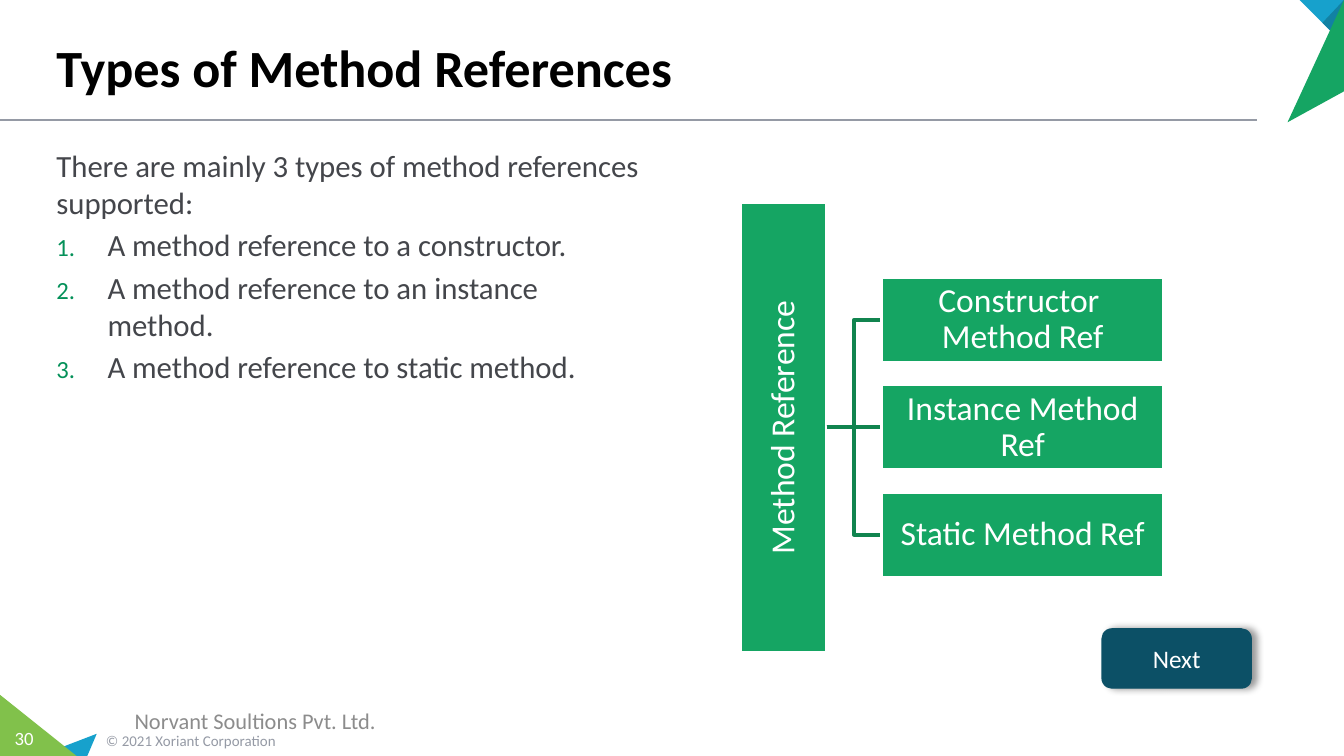
from lxml.etree import SubElement
from pptx import Presentation
from pptx.dml.color import RGBColor
from pptx.enum.shapes import MSO_CONNECTOR, MSO_SHAPE
from pptx.enum.text import MSO_ANCHOR, PP_ALIGN
from pptx.oxml.ns import qn
from pptx.util import Inches, Pt

# Content
TITLE = "Types of Method References"
INTRO = "There are mainly 3 types of method references supported:"
TYPES = [
    "A method reference to a constructor.",
    "A method reference to an instance method.",
    "A method reference to static method.",
]
ROOT = "Method Reference"
BRANCHES = ["Constructor \vMethod Ref", "Instance Method Ref", "Static Method Ref"]
BUTTON = "Next"

# Text, left, top, width, height, size, colour, alignment, side inset
FOOTER = [
    ("© 2021 Xoriant Corporation", 0.69, 5.39, 2.33, 0.24, 8, "grey", PP_ALIGN.LEFT, 0.1),
    ("30", 0, 5.36, 0.36, 0.27, 10, "white", PP_ALIGN.CENTER, 0),
    ("Norvant Soultions Pvt. Ltd.", 0, 5.21, 3.8, 0.3, 12, "footer", PP_ALIGN.CENTER, 0.1),
]

FONT = "Calibri"
COLORS = {
    "white": "FFFFFF", "black": "000000", "text": "44464B", "grey": "959AA5",
    "footer": "8C8C8C", "green": "15A563", "dark_green": "11844F",
    "number": "049159", "lime": "81C14B", "blue": "17A1CC",
    "dark_blue": "1281A3", "button": "0C5066",
}
WIDTH = 10
HEIGHT = WIDTH * 9 / 16

# Corner triangles
TRIANGLES = [
    ("blue", [(0.72, 5.46), (0.65, HEIGHT), (0.29, HEIGHT)]),
    ("lime", [(0, 5.17), (0.57, HEIGHT), (0, HEIGHT)]),
    ("blue", [(9.67, 0), (WIDTH, 0), (WIDTH, 0.33)]),
    ("dark_blue", [(9.84, 0.17), (WIDTH, 0), (WIDTH, 0.33)]),
    ("green", [(9.58, 0.91), (WIDTH, 0), (WIDTH, 0.68)]),
]

# Diagram geometry
BOX_WIDTH, BOX_HEIGHT, PITCH = 2.1, 0.64, 0.8
ROOT_LENGTH, ROOT_RIGHT = 3.36, 6.15
BRANCH_LEFT, MIDDLE = 6.56, 3.18
ELBOW = (ROOT_RIGHT + BRANCH_LEFT) / 2


def color(name):
    return RGBColor.from_string(COLORS[name])


def place(shape, left, top, width, height):
    shape.left, shape.top = Inches(left), Inches(top)
    shape.width, shape.height = Inches(width), Inches(height)


def add_run(paragraph, text, size, color_name, bold=False):
    for index, line in enumerate(text.split("\v")):
        if index:
            paragraph.add_line_break()
        run = paragraph.add_run()
        run.text = line
        run.font.name, run.font.size, run.font.bold = FONT, Pt(size), bold
        run.font.color.rgb = color(color_name)


def write(shape, text, size, color_name, align=PP_ALIGN.CENTER,
          inset_x=0.1, inset_y=0.05, line_spacing=1.0):
    frame = shape.text_frame
    frame.word_wrap = True
    frame.vertical_anchor = MSO_ANCHOR.MIDDLE
    frame.margin_left = frame.margin_right = Inches(inset_x)
    frame.margin_top = frame.margin_bottom = Inches(inset_y)
    paragraph = frame.paragraphs[0]
    paragraph.alignment = align
    paragraph.line_spacing = line_spacing
    add_run(paragraph, text, size, color_name)


def add_path(shapes, points, closed):
    corners = [(Inches(x), Inches(y)) for x, y in points]
    builder = shapes.build_freeform(*corners[0])
    builder.add_line_segments(corners[1:], close=closed)
    shape = builder.convert_to_shape()
    shape.shadow.inherit = False
    return shape


def add_line(shapes, start, end, color_name, width):
    line = shapes.add_connector(MSO_CONNECTOR.STRAIGHT, *map(Inches, start + end))
    line.line.color.rgb = color(color_name)
    line.line.width = Pt(width)
    SubElement(line._element.spPr, qn("a:effectLst"))


def add_block(shapes, kind, box, fill, line, line_width):
    shape = shapes.add_shape(kind, *map(Inches, box))
    shape.shadow.inherit = False
    shape.fill.solid()
    shape.fill.fore_color.rgb = color(fill)
    shape.line.color.rgb = color(line)
    shape.line.width = Pt(line_width)
    return shape


def add_diagram_box(shapes, text, center_x, center_y, width, rotation=0):
    box = (center_x - width / 2, center_y - BOX_HEIGHT / 2, width, BOX_HEIGHT)
    shape = add_block(shapes, MSO_SHAPE.RECTANGLE, box, "green", "white", 2)
    shape.rotation = rotation
    write(shape, text, 18, "white", inset_x=0.01, inset_y=0.01, line_spacing=0.9)


def set_bullet(paragraph, numbered):
    properties = paragraph._p.get_or_add_pPr()
    indent = Inches(0.38) if numbered else 0
    properties.set("marL", str(indent))
    properties.set("indent", str(-indent))
    if not numbered:
        SubElement(properties, qn("a:buNone"))
        return
    bullet_color = SubElement(properties, qn("a:buClr"))
    SubElement(bullet_color, qn("a:srgbClr"), val=COLORS["number"])
    SubElement(properties, qn("a:buSzPct"), val="80000")
    SubElement(properties, qn("a:buFont"), typeface=FONT)
    SubElement(properties, qn("a:buAutoNum"), type="arabicPeriod")


def add_shadow(shape):
    effects = shape._element.spPr.find(qn("a:effectLst"))
    shadow = SubElement(effects, qn("a:outerShdw"), blurRad=str(Pt(4)),
                        dist=str(Pt(3)), dir="0", algn="l", rotWithShape="0")
    shade = SubElement(shadow, qn("a:srgbClr"), val=COLORS["black"])
    SubElement(shade, qn("a:alpha"), val="40000")


def main():
    presentation = Presentation()
    presentation.slide_width, presentation.slide_height = Inches(WIDTH), Inches(HEIGHT)
    slide = presentation.slides.add_slide(presentation.slide_layouts[1])
    shapes = slide.shapes

    # Corner decoration and title rule
    for fill, points in TRIANGLES:
        triangle = add_path(shapes, points, closed=True)
        triangle.fill.solid()
        triangle.fill.fore_color.rgb = color(fill)
        triangle.line.fill.background()
    add_line(shapes, (0, 0.89), (9.35, 0.89), "grey", 1)

    # Title
    title = shapes.title
    place(title, 0.32, 0.06, 9, 0.72)
    title.text_frame.vertical_anchor = MSO_ANCHOR.BOTTOM
    paragraph = title.text_frame.paragraphs[0]
    paragraph.alignment = PP_ALIGN.LEFT
    add_run(paragraph, TITLE, 28, "black", bold=True)

    # Introduction and numbered list
    body = slide.placeholders[1]
    place(body, 0.32, 1.04, 4.6, 4.27)
    for index, text in enumerate([INTRO] + TYPES):
        frame = body.text_frame
        paragraph = frame.add_paragraph() if index else frame.paragraphs[0]
        paragraph.space_before, paragraph.space_after = Pt(0), Pt(3)
        set_bullet(paragraph, numbered=index > 0)
        add_run(paragraph, text, 16.5, "text")

    # Method reference diagram
    add_diagram_box(shapes, ROOT, ROOT_RIGHT - BOX_HEIGHT / 2, MIDDLE, ROOT_LENGTH, 270)
    for index, text in enumerate(BRANCHES):
        y = MIDDLE + (index - (len(BRANCHES) - 1) / 2) * PITCH
        if y == MIDDLE:
            add_line(shapes, (ROOT_RIGHT, y), (BRANCH_LEFT, y), "dark_green", 2)
        else:
            points = [(ROOT_RIGHT, MIDDLE), (ELBOW, MIDDLE), (ELBOW, y), (BRANCH_LEFT, y)]
            branch = add_path(shapes, points, closed=False)
            branch.fill.background()
            branch.line.color.rgb = color("dark_green")
            branch.line.width = Pt(2)
        add_diagram_box(shapes, text, BRANCH_LEFT + BOX_WIDTH / 2, y, BOX_WIDTH)

    # Next button
    button = add_block(shapes, MSO_SHAPE.ROUNDED_RECTANGLE, (8.2, 4.68, 1.11, 0.44),
                       "button", "button", 0.75)
    add_shadow(button)
    write(button, BUTTON, 13.5, "white")

    # Footer
    for text, left, top, width, height, size, color_name, align, inset in FOOTER:
        box = shapes.add_textbox(*map(Inches, (left, top, width, height)))
        write(box, text, size, color_name, align, inset_x=inset)

    presentation.save("out.pptx")


if __name__ == "__main__":
    main()
